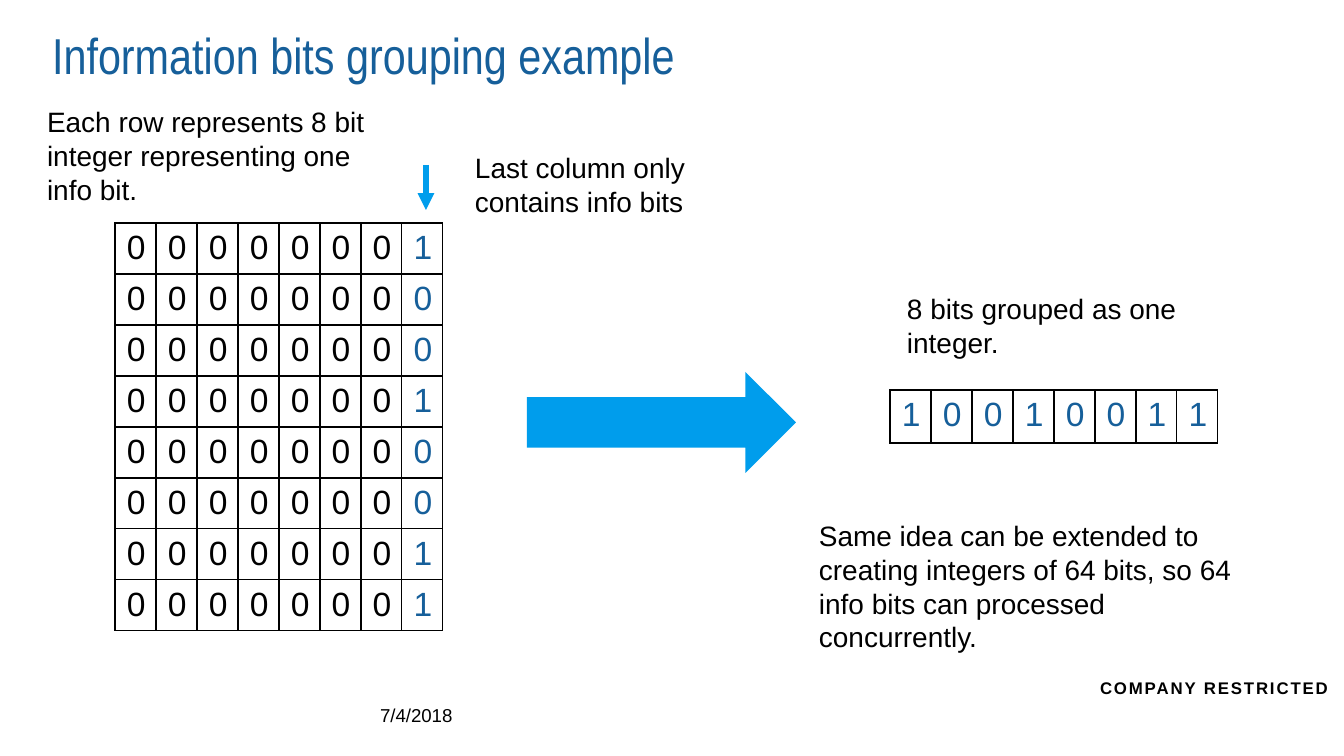
from dataclasses import dataclass

from lxml.etree import SubElement
from pptx import Presentation
from pptx.dml.color import RGBColor
from pptx.enum.shapes import MSO_CONNECTOR as Connector, MSO_SHAPE as Preset
from pptx.enum.text import MSO_ANCHOR as Anchor, PP_ALIGN as Align
from pptx.oxml.ns import qn
from pptx.util import Emu, Pt

PX_PER_INCH = 134.4
BLACK, WHITE, NAVY, SKY = "000000", "FFFFFF", "165F9A", "009DEC"
COLUMN_WIDTH = 41
BITS = "10010011"


@dataclass(frozen=True)
class Note:
    text: str
    left: int
    top: int
    width: int
    height: int
    size: int = 15
    inset_x: int = 13
    inset_y: int = 7


@dataclass(frozen=True)
class BitGrid:
    rows: list[str]
    left: int
    top: int
    row_height: int
    info_columns: range


NOTES = [
    Note("Each row represents 8 bit integer representing one info bit.", 34, 98, 370, 116),
    Note("Last column only contains info bits", 462, 144, 336, 82),
    Note("8 bits grouped as one integer.", 894, 285, 309, 82),
    Note("Same idea can be extended to creating integers of 64 bits, so 64 info bits "
         "can processed concurrently.", 806, 512, 470, 149),
    Note("7/4/2018", 380, 704, 117, 20, size=10, inset_x=0, inset_y=0),
]
GRIDS = [
    BitGrid(["0" * 7 + bit for bit in BITS], 115, 223, 51, range(7, 8)),
    BitGrid([BITS], 890, 390, 53, range(8)),
]


def px(length: int) -> Emu:
    return Emu(round(length * 914400 / PX_PER_INCH))


def color(value: str) -> RGBColor:
    return RGBColor.from_string(value)


def set_attributes(target, values: dict) -> None:
    for name, value in values.items():
        setattr(target, name, value)


def write(frame, text: str, size: int, ink: str = BLACK,
          font: str = "Arial", bold: bool = False):
    """Put one left-aligned span of text in a frame and return the span."""
    para = frame.paragraphs[0]
    para.alignment = Align.LEFT
    span = para.add_run()
    span.text = text
    set_attributes(span.font, {"name": font, "size": Pt(size), "bold": bold})
    span.font.color.rgb = color(ink)
    return span


def frame_format(inset_x: int, inset_y: int, anchor: Anchor, wrap: bool) -> dict:
    return {
        "margin_left": px(inset_x), "margin_right": px(inset_x),
        "margin_top": px(inset_y), "margin_bottom": px(inset_y),
        "vertical_anchor": anchor, "word_wrap": wrap,
    }


def add_note(page, note: Note) -> None:
    box = page.shapes.add_textbox(
        px(note.left), px(note.top), px(note.width), px(note.height))
    set_attributes(box.text_frame, frame_format(note.inset_x, note.inset_y, Anchor.TOP, True))
    write(box.text_frame, note.text, note.size)


def add_borders(cell) -> None:
    properties = cell._tc.get_or_add_tcPr()
    for position, side in enumerate(("lnL", "lnR", "lnT", "lnB")):
        line = SubElement(properties, qn(f"a:{side}"), w=str(Pt(1)))
        fill = SubElement(line, qn("a:solidFill"))
        SubElement(fill, qn("a:srgbClr"), val=BLACK)
        properties.insert(position, line)


def add_grid(page, grid: BitGrid) -> None:
    count = len(grid.rows[0])
    table = page.shapes.add_table(
        len(grid.rows), count, px(grid.left), px(grid.top),
        px(COLUMN_WIDTH * count), px(grid.row_height * len(grid.rows))).table
    set_attributes(table, {"first_row": False, "horz_banding": False})
    for column in table.columns:
        column.width = px(COLUMN_WIDTH)
    for row, bits in zip(table.rows, grid.rows):
        row.height = px(grid.row_height)
        for index, (cell, bit) in enumerate(zip(row.cells, bits)):
            set_attributes(cell, {
                "margin_left": px(12), "margin_right": px(0),
                "margin_top": px(6), "margin_bottom": px(6)})
            cell.fill.background()
            add_borders(cell)
            write(cell.text_frame, bit, 18, NAVY if index in grid.info_columns else BLACK)


def add_block(page, preset: Preset, left: int, top: int, width: int, height: int, fill: str):
    block = page.shapes.add_shape(preset, px(left), px(top), px(width), px(height))
    block.shadow.inherit = False
    block.fill.solid()
    block.fill.fore_color.rgb = color(fill)
    block.line.fill.background()
    return block


def add_pointer(page, x: int, top: int, bottom: int) -> None:
    pointer = page.shapes.add_connector(Connector.STRAIGHT, px(x), px(top), px(x), px(bottom))
    pointer.line.width = Pt(3)
    pointer.line.color.rgb = color(SKY)
    SubElement(pointer.line._get_or_add_ln(), qn("a:tailEnd"), type="triangle")
    SubElement(pointer._element.spPr, qn("a:effectLst"))


def main() -> None:
    deck = Presentation()
    set_attributes(deck, {"slide_width": px(1344), "slide_height": px(756)})
    page = deck.slides.add_slide(deck.slide_layouts[5])

    # Title
    title = page.shapes.title
    set_attributes(title, {
        "left": px(52), "top": px(24), "width": px(1218), "height": px(120)})
    set_attributes(title.text_frame, frame_format(0, 0, Anchor.TOP, True))
    write(title.text_frame, "Information bits grouping example", 27, NAVY, "Arial Narrow")

    # Bit tables
    for grid in GRIDS:
        add_grid(page, grid)

    # Arrows
    add_pointer(page, 426, 165, 210)
    add_block(page, Preset.RIGHT_ARROW, 527, 372, 269, 101, SKY)

    # Captions and date
    for note in NOTES:
        add_note(page, note)

    # Confidentiality label
    label = add_block(page, Preset.RECTANGLE, 1089, 672, 255, 31, WHITE)
    set_attributes(label.text_frame, frame_format(11, 5, Anchor.MIDDLE, False))
    span = write(label.text_frame, "COMPANY RESTRICTED", 9, bold=True)
    span.font._element.set("spc", "100")

    deck.save("out.pptx")


if __name__ == "__main__":
    main()
